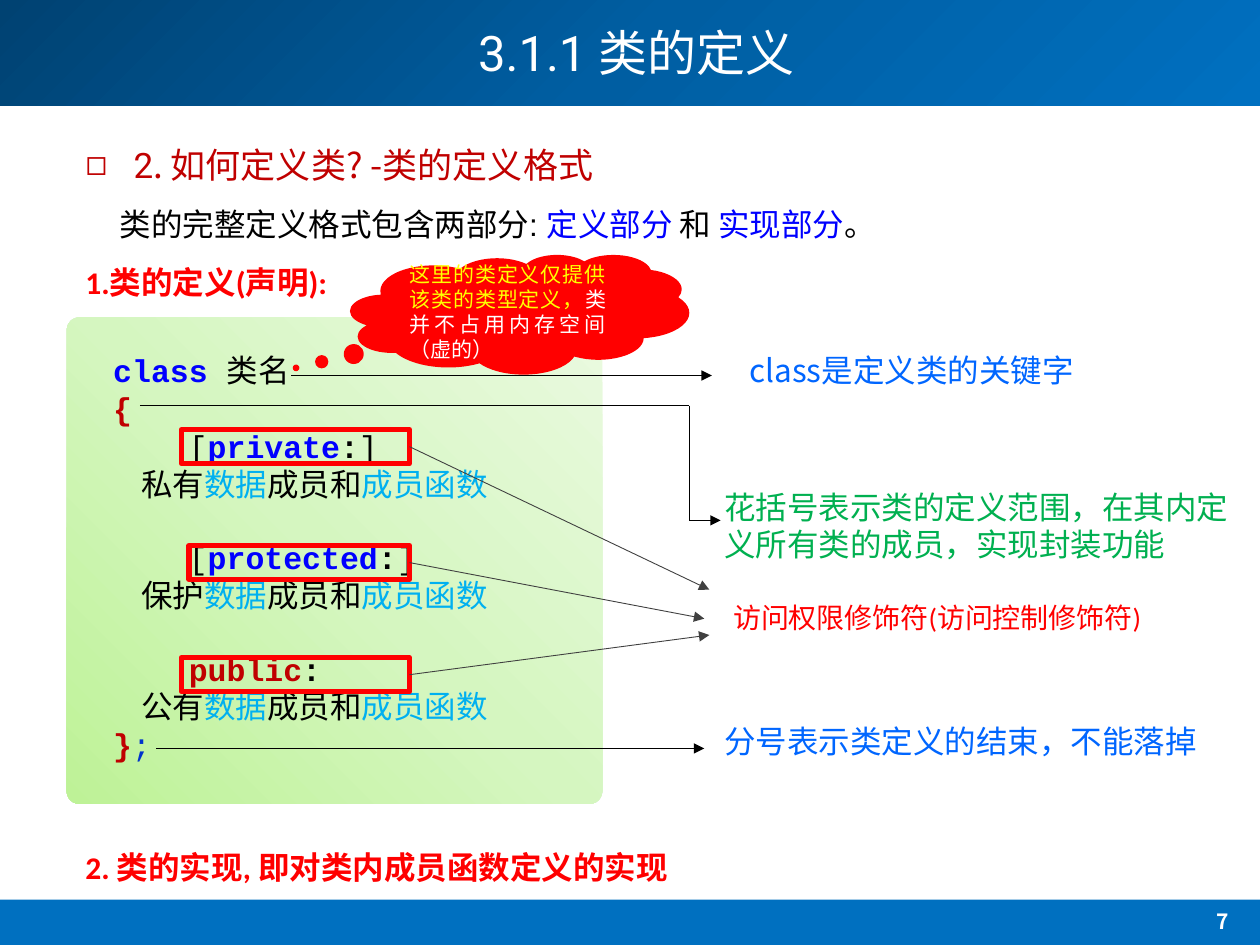
import dataclasses
import typing

import lxml.etree
import pptx
import pptx.dml.color
import pptx.enum.shapes
import pptx.enum.text
import pptx.oxml
import pptx.oxml.ns
import pptx.util

Inches = pptx.util.Inches
Pt = pptx.util.Pt
qn = pptx.oxml.ns.qn
Kind = pptx.enum.shapes.MSO_SHAPE
Align = pptx.enum.text.PP_ALIGN
Anchor = pptx.enum.text.MSO_ANCHOR
Fit = pptx.enum.text.MSO_AUTO_SIZE


@dataclasses.dataclass(frozen=True)
class Theme:
    white: str = "FFFFFF"
    black: str = "000000"
    gray: str = "404040"
    red: str = "FF0000"
    dark_red: str = "C00000"
    blue: str = "0000FF"
    navy: str = "0033CC"
    azure: str = "0066FF"
    sky: str = "00B0F0"
    green: str = "00B050"
    yellow: str = "FFFF00"
    band: str = "0070C0"
    head_grad: tuple = ("004272", "005EA2", "0070C0")
    card_grad: tuple = ("BEF297", "D5F6C0", "EAFAE0")
    han: str = "Noto Sans CJK SC"
    title_face: str = "Roboto"
    code_face: str = "Courier New"
    label_face: str = "Calibri"
    plain_face: str = "Arial"
    title: int = 28
    topic: int = 20
    body: int = 18
    label: int = 16
    small: int = 12


T = Theme()


class Run(typing.NamedTuple):
    text: str
    ink: str
    face: str = T.han
    bold: bool = False


class Note(typing.NamedTuple):
    box: tuple
    runs: list
    size: int = T.body
    wrap: bool = True
    lead: float = 1.0


class Wire(typing.NamedTuple):
    start: tuple
    end: tuple
    arrow: bool = True
    ink: str = T.black
    width: float = 0.75


def rgb(ink: str):
    return pptx.dml.color.RGBColor.from_string(ink)


def write(par, runs: list, size: int) -> None:
    for item in runs:
        run = par.add_run()
        run.text = item.text
        font = run.font
        font.size, font.bold, font.name = Pt(size), item.bold, item.face
        font.color.rgb = rgb(item.ink)
        east = lxml.etree.SubElement(font._element, qn("a:ea"))
        east.set("typeface", T.han)


def place(shape, box: tuple) -> None:
    shape.left, shape.top, shape.width, shape.height = map(Inches, box)


def add_note(slide, note: Note):
    shape = slide.shapes.add_textbox(*map(Inches, note.box))
    frame = shape.text_frame
    frame.word_wrap = note.wrap
    frame.auto_size = Fit.SHAPE_TO_FIT_TEXT
    par = frame.paragraphs[0]
    if note.lead != 1:
        par.line_spacing = note.lead
    write(par, note.runs, note.size)
    return shape


def add_block(slide, kind, box: tuple, fill: str = "", edge: str = ""):
    shape = slide.shapes.add_shape(kind, *map(Inches, box))
    shape.shadow.inherit = False
    if fill:
        shape.fill.solid()
        shape.fill.fore_color.rgb = rgb(fill)
    else:
        shape.fill.background()
    if edge:
        shape.line.color.rgb = rgb(edge)
        shape.line.width = Pt(3)
    else:
        shape.line.fill.background()
    return shape


def blend(shape, inks: tuple, course: str) -> None:
    """Swap an empty fill for evenly spaced stops along the given course."""
    stops = "".join(
        f'<a:gs pos="{i * 50000}"><a:srgbClr val="{ink}"/></a:gs>' for i, ink in enumerate(inks))
    space = pptx.oxml.ns.nsdecls("a")
    grad = pptx.oxml.parse_xml(f"<a:gradFill {space}><a:gsLst>{stops}</a:gsLst>{course}</a:gradFill>")
    props = shape.element.spPr
    props.replace(props.find(qn("a:noFill")), grad)


def send_back(shape, depth: int) -> None:
    shape.element.getparent().insert(2 + depth, shape.element)


def add_wire(slide, wire: Wire):
    line = slide.shapes.add_connector(
        pptx.enum.shapes.MSO_CONNECTOR.STRAIGHT, *map(Inches, wire.start + wire.end))
    line.line.color.rgb = rgb(wire.ink)
    line.line.width = Pt(wire.width)
    if wire.arrow:
        tail = lxml.etree.SubElement(line.line._get_or_add_ln(), qn("a:tailEnd"))
        tail.set("type", "triangle")
    lxml.etree.SubElement(line.element.spPr, qn("a:effectLst"))
    return line


def code(text: str, ink: str = T.black, bold: bool = False) -> Run:
    return Run(text, ink, T.code_face, bold)


def access(word: str) -> list:
    return [code("    ["), code(word, T.blue, True), code(":", bold=True), code("]")]


def members(word: str) -> list:
    return [code("    " + word), code("数据", T.sky), code("成员和"), code("成员函数", T.sky)]


def add_code(slide) -> None:
    rows = [
        [code("class ", T.blue, True), code("类名")],
        [code("{", T.dark_red, True)],
        access("private"),
        members("私有"),
        access("protected"),
        members("保护"),
        [code("    "), code("public", T.dark_red, True), code(":", bold=True)],
        members("公有"),
        [code("}", T.dark_red, True), code(";", T.navy)],
    ]
    frame = add_note(slide, Note((0.8, 2.74, 3.89, 3.43), rows[0])).text_frame
    for i, row in enumerate(rows[1:], 1):
        par = frame.add_paragraph()
        if i in (4, 6):
            par.space_before = Pt(20.4)
        write(par, row, T.body)


def add_heads(slide) -> None:
    title, body = slide.placeholders
    place(title, (0.85, 0, 8.4, 0.89))
    title.text_frame.vertical_anchor = Anchor.MIDDLE
    par = title.text_frame.paragraphs[0]
    par.alignment, par.line_spacing = Align.CENTER, 0.9
    write(par, [Run("3.1.1 ", T.white, T.title_face), Run("类的定义", T.white)], T.title)

    place(body, (0.58, 1.09, 7.82, 0.44))
    body.text_frame.auto_size = Fit.SHAPE_TO_FIT_TEXT
    par = body.text_frame.paragraphs[0]
    par.space_before = Pt(0)
    props = par._p.get_or_add_pPr()
    props.set("marL", str(Inches(0.38)))
    props.set("indent", str(-Inches(0.38)))
    lxml.etree.SubElement(props, qn("a:buChar")).set("char", "◻")
    write(par, [Run("2", T.dark_red, T.title_face),
                Run(". 如何定义类? -类的定义格式", T.dark_red)], T.topic)


def add_cloud(slide) -> None:
    cloud = add_block(slide, Kind.CLOUD_CALLOUT, (2.78, 2.02, 2.69, 0.95), T.red)
    cloud.adjustments[0], cloud.adjustments[1] = -0.66, 0.447
    cloud.text_frame.word_wrap = True
    cloud.text_frame.vertical_anchor = Anchor.MIDDLE
    par = cloud.text_frame.paragraphs[0]
    par.alignment = Align.JUSTIFY
    write(par, [Run("这里的类定义仅提供该类的类型定义，", T.yellow),
                Run("类并不占用内存空间（虚的）", T.white)], T.small)


def main() -> None:
    deck = pptx.Presentation()
    deck.slide_width, deck.slide_height = Inches(10), Inches(7.5)
    slide = deck.slides.add_slide(deck.slide_layouts[1])

    head = add_block(slide, Kind.RECTANGLE, (0, 0, 10, 0.84))
    blend(head, T.head_grad, '<a:lin ang="2700000" scaled="0"/>')
    foot = add_block(slide, Kind.RECTANGLE, (0, 7.14, 10, 0.36), T.band)
    card = add_block(slide, Kind.ROUNDED_RECTANGLE, (0.53, 2.52, 4.25, 3.86))
    card.adjustments[0] = 0.026
    blend(card, T.card_grad, '<a:path path="circle">'
          '<a:fillToRect l="0" t="100000" r="100000" b="0"/></a:path>')
    for depth, shape in enumerate((head, foot, card)):
        send_back(shape, depth)

    add_heads(slide)
    add_code(slide)
    page = add_note(slide, Note((9.23, 7.16, 0.95, 0.36), [Run("7", T.white, bold=True)], T.small))
    page.text_frame.paragraphs[0].alignment = Align.CENTER

    plain, key = (T.black, T.plain_face), (T.blue, T.han)
    intro = [Run("类的完整定义格式包含两部分: ", *plain), Run("定义部分 ", *key),
             Run("和 ", *plain), Run("实现部分", *key), Run("。", *plain)]
    strong = (T.red, T.label_face, True)
    for note in (
        Note((0.85, 1.43, 8.88, 0.56), intro, lead=1.5),
        Note((5.85, 2.74, 2.85, 0.4), [Run("class是定义类的关键字", T.azure)], wrap=False),
        Note((5.65, 3.82, 4.26, 0.71),
             [Run("花括号表示类的定义范围，在其内定义所有类的成员，实现封装功能", T.green)]),
        Note((5.65, 5.68, 3.99, 0.4),
             [Run("分号表示类定义的结束，不能落掉", T.azure)], wrap=False),
        Note((5.72, 4.72, 3.48, 0.37),
             [Run("访问权限修饰符(访问控制修饰符)", T.red, T.label_face)], T.label),
        Note((0.58, 6.68, 6.5, 0.4), [Run("2. 类的实现, 即对类内成员函数定义的实现", *strong)]),
        Note((0.58, 2.04, 6.5, 0.4), [Run("1.类的定义(声明):", *strong)]),
    ):
        add_note(slide, note)

    for wire in (
        Wire((2.31, 2.98), (5.65, 2.98)),
        Wire((1.11, 3.22), (5.47, 3.22), False),
        Wire((5.47, 3.22), (5.47, 4.13), False),
        Wire((5.47, 4.13), (5.72, 4.13)),
        Wire((1.24, 5.94), (5.59, 5.94)),
    ):
        add_wire(slide, wire)
    add_cloud(slide)

    right = 3.25
    for left, top, end in ((1.44, 3.41, (5.63, 4.68)), (1.5, 4.33, (5.59, 4.91)),
                           (1.44, 5.22, (5.63, 5.04))):
        frame = add_block(slide, Kind.RECTANGLE, (left, top, right - left, 0.27), edge=T.red)
        wire = add_wire(slide, Wire((right, top + 0.13), end, ink=T.gray, width=0.5))
        wire.begin_connect(frame, 3)

    deck.save("out.pptx")


if __name__ == "__main__":
    main()
